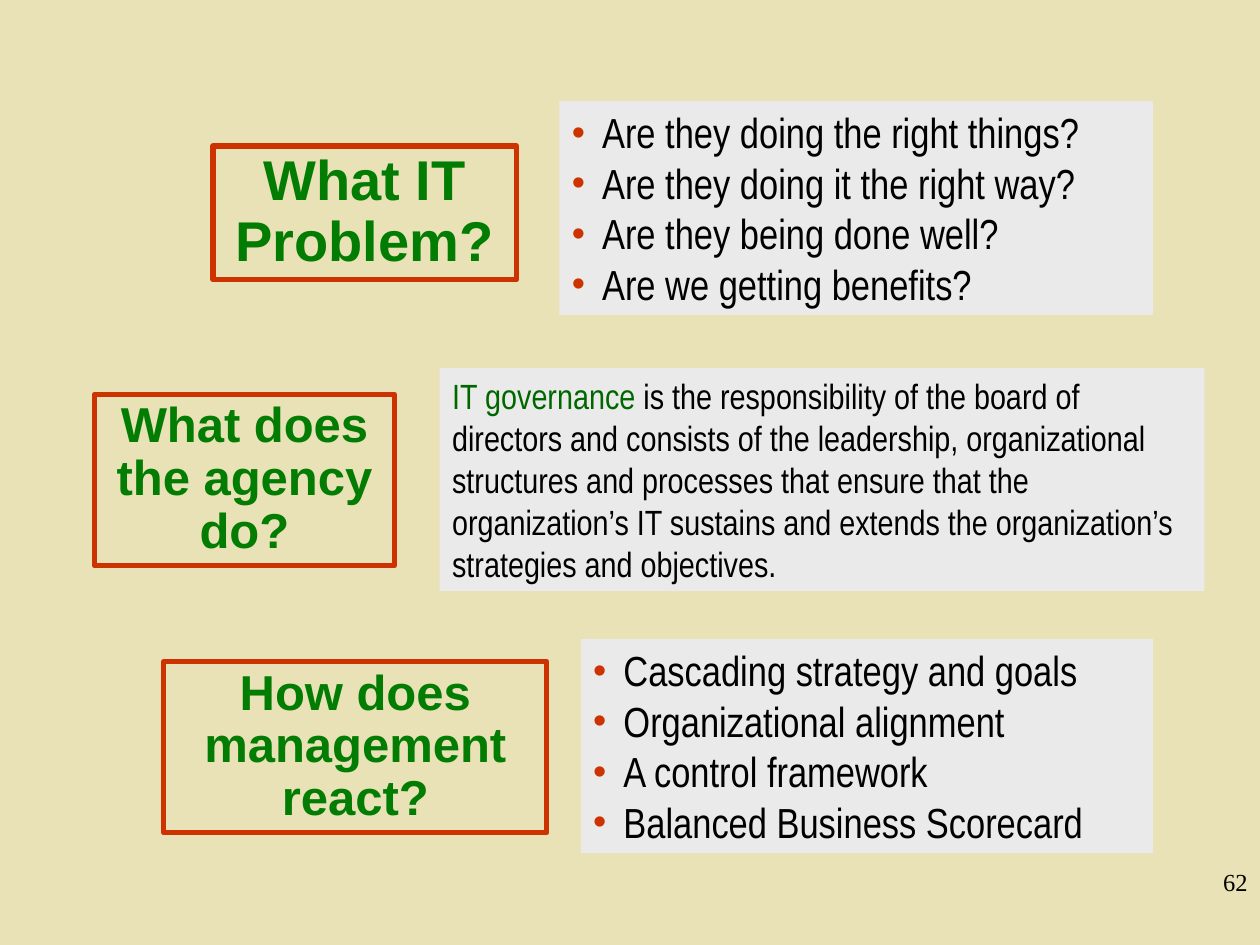
import pptx
import pptx.util
import pptx.dml.color
import pptx.enum.shapes
import pptx.enum.text
from lxml import etree

Inches, Pt = pptx.util.Inches, pptx.util.Pt
RGBColor = pptx.dml.color.RGBColor
PP_ALIGN = pptx.enum.text.PP_ALIGN

SAND = RGBColor(0xE9, 0xE2, 0xB6)
PANEL = RGBColor(0xEA, 0xEA, 0xEA)
RUST = RGBColor(0xCC, 0x33, 0x00)
GREEN = RGBColor(0x03, 0x7C, 0x03)
DARK_GREEN = RGBColor(0x00, 0x66, 0x00)
BLACK = RGBColor(0, 0, 0)


def add_box(shapes, box):
    sp = shapes.add_shape(pptx.enum.shapes.MSO_SHAPE.RECTANGLE, *map(Inches, box))
    sp.shadow.inherit = False
    sp.text_frame.word_wrap = True
    sp.text_frame.vertical_anchor = pptx.enum.text.MSO_ANCHOR.TOP
    return sp


def add_bullet(p):
    pPr = p._p.get_or_add_pPr()
    pPr.set("marL", str(Inches(0.24)))
    pPr.set("indent", str(-Inches(0.24)))
    ns = pptx.oxml.ns.qn
    color = etree.SubElement(pPr, ns("a:buClr"))
    etree.SubElement(color, ns("a:srgbClr"), val=str(RUST))
    etree.SubElement(pPr, ns("a:buSzPct"), val="90000")
    etree.SubElement(pPr, ns("a:buFont"), typeface="Arial")
    etree.SubElement(pPr, ns("a:buChar"), char="•")


prs = pptx.Presentation()
prs.slide_width, prs.slide_height = Inches(10), Inches(7.5)
s = prs.slides.add_slide(prs.slide_layouts[6])
s.background.fill.solid()
s.background.fill.fore_color.rgb = SAND

# Each row: question, its box and size; answer box and size, bulleted or not,
# and answer paragraphs as lists of (text, colour) runs
rows = [
    ("What IT Problem?", (1.69, 1.16, 2.41, 1.06), 32,
     (4.44, 0.8, 4.71, 1.7), 24, True,
     [[("Are they doing the right things?", BLACK)],
      [("Are they doing it the right way?", BLACK)],
      [("Are they being done well?", BLACK)],
      [("Are we getting benefits?", BLACK)]]),
    ("What does the agency do?", (0.75, 3.13, 2.38, 1.36), 28,
     (3.49, 2.92, 6.07, 1.77), 20, False,
     [[("IT governance", DARK_GREEN),
       (" is the responsibility of the board of directors and consists of the "
        "leadership, organizational structures and processes that ensure that "
        "the organization’s IT sustains and extends the organization’s "
        "strategies and objectives.", BLACK)]]),
    ("How does management react?", (1.3, 5.25, 3.04, 1.36), 28,
     (4.61, 5.07, 4.54, 1.7), 24, True,
     [[("Cascading strategy and goals", BLACK)],
      [("Organizational alignment", BLACK)],
      [("A control framework", BLACK)],
      [("Balanced Business Scorecard", BLACK)]]),
]

for question, q_box, q_size, a_box, a_size, bulleted, answer in rows:
    group = s.shapes.add_group_shape()

    # Answer panel
    sp = add_box(group.shapes, a_box)
    sp.fill.solid()
    sp.fill.fore_color.rgb = PANEL
    sp.line.fill.background()
    tf = sp.text_frame
    for i, runs in enumerate(answer):
        p = tf.add_paragraph() if i else tf.paragraphs[0]
        p.alignment = PP_ALIGN.LEFT
        if bulleted:
            add_bullet(p)
        for text, color in runs:
            r = p.add_run()
            r.text = text
            r.font.name, r.font.size = "Arial Narrow", Pt(a_size)
            r.font.color.rgb = color

    # Framed question
    sp = add_box(group.shapes, q_box)
    sp.fill.background()
    sp.line.color.rgb = RUST
    sp.line.width = Pt(3)
    sp.text_frame.text = question
    p = sp.text_frame.paragraphs[0]
    p.alignment = PP_ALIGN.CENTER
    p.line_spacing = 0.9
    font = p.runs[0].font
    font.name, font.size, font.bold = "Arial", Pt(q_size), True
    font.color.rgb = GREEN

# Page number
tb = s.shapes.add_textbox(Inches(7.92), Inches(6.83), Inches(2.08), Inches(0.5))
tf = tb.text_frame
tf.word_wrap = True
tf.text = "62"
p = tf.paragraphs[0]
p.alignment = PP_ALIGN.RIGHT
font = p.runs[0].font
font.name, font.size = "Times New Roman", Pt(14)
font.color.rgb = BLACK

prs.save("out.pptx")
